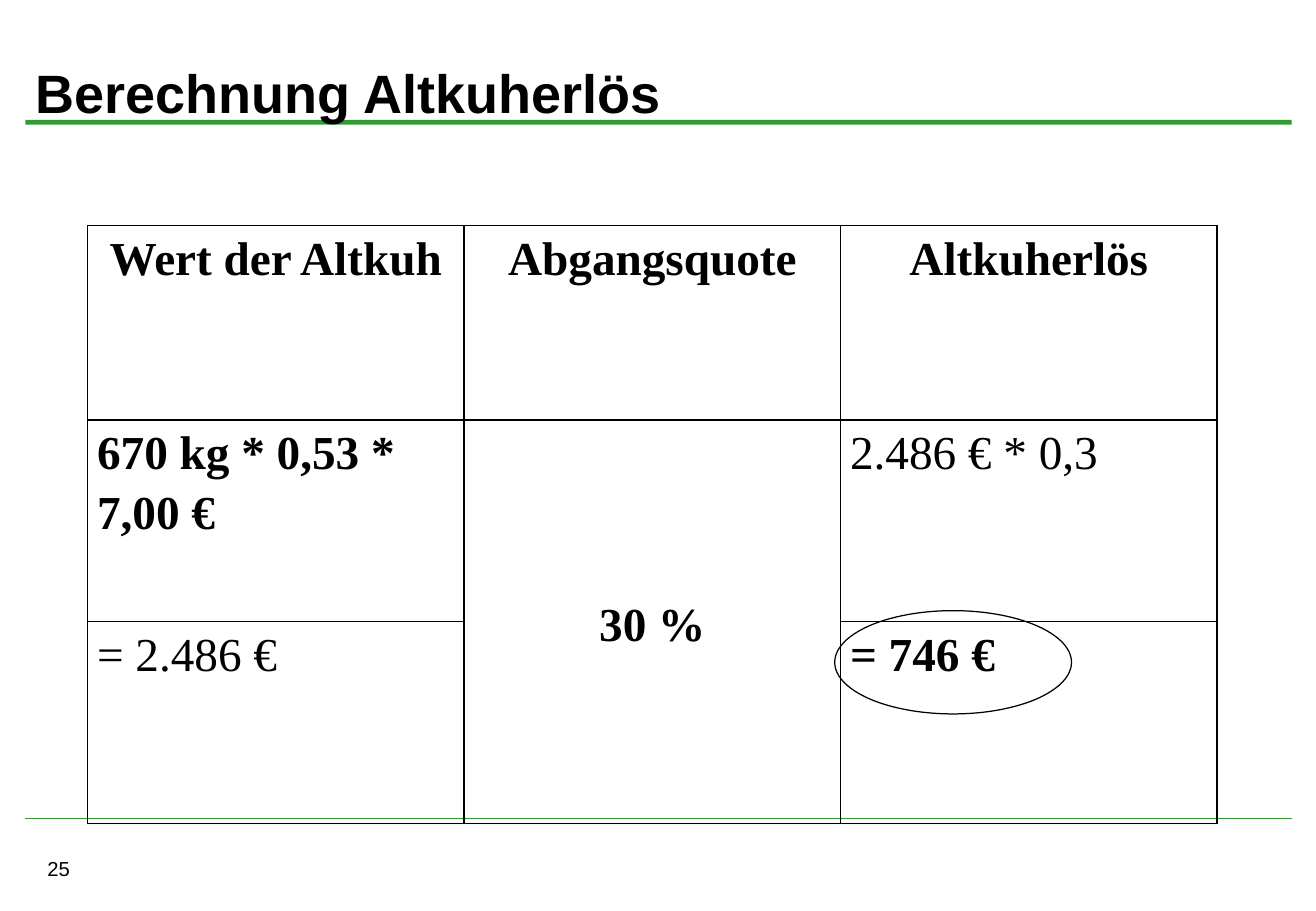
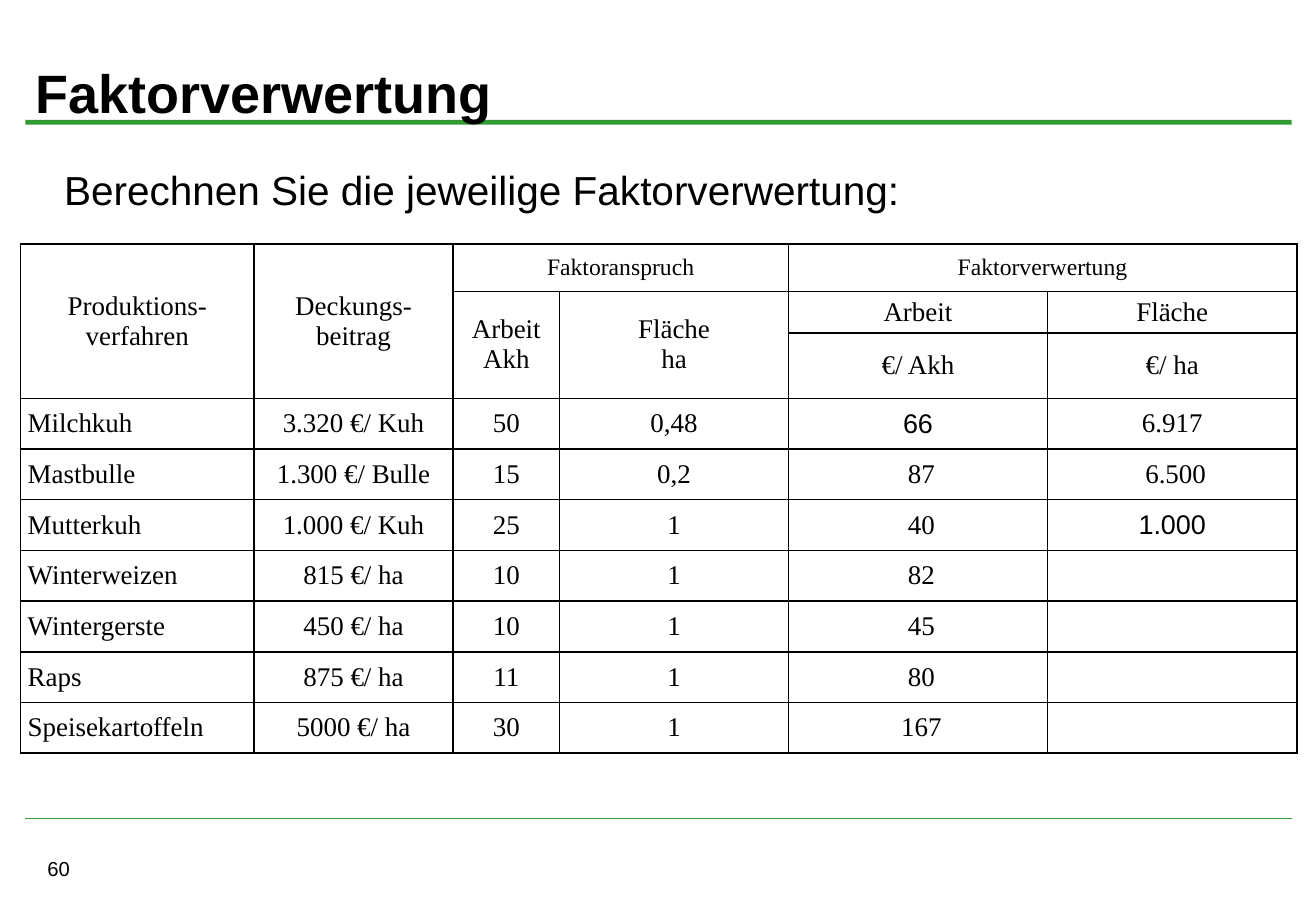
from dataclasses import dataclass, replace

from lxml import etree
from pptx import Presentation
from pptx.dml.color import RGBColor
from pptx.enum.shapes import MSO_CONNECTOR, MSO_SHAPE
from pptx.enum.text import MSO_ANCHOR, MSO_AUTO_SIZE, PP_ALIGN
from pptx.oxml.ns import qn
from pptx.util import Cm, Pt

LEFT, CENTER = PP_ALIGN.LEFT, PP_ALIGN.CENTER
TOP, MIDDLE = MSO_ANCHOR.TOP, MSO_ANCHOR.MIDDLE
RECT, OVAL = MSO_SHAPE.RECTANGLE, MSO_SHAPE.OVAL
STRAIGHT = MSO_CONNECTOR.STRAIGHT
NO_AUTOFIT = MSO_AUTO_SIZE.NONE


@dataclass(frozen=True)
class Theme:
    text: str = "000000"
    accent: str = "339933"
    sans: str = "Arial"
    serif: str = "Times New Roman"
    title: int = 32
    big_cell: int = 28
    lead: int = 24
    cell: int = 16
    small_cell: int = 14
    footer: int = 12
    hairline: float = 0.75
    border: int = 1


T = Theme()


@dataclass(frozen=True)
class Style:
    size: int
    font: str = T.sans
    bold: bool = False
    align: PP_ALIGN = LEFT
    anchor: MSO_ANCHOR = TOP
    spacing: float = 1.0


@dataclass(frozen=True)
class Cell:
    row: int
    col: int
    text: str
    style: Style
    rows: int = 1
    cols: int = 1


@dataclass(frozen=True)
class Box:
    left: float
    top: float
    width: float
    height: float

    def emu(self) -> tuple:
        return Cm(self.left), Cm(self.top), Cm(self.width), Cm(self.height)


# Text
def write(tf, text: str, style: Style) -> None:
    tf.text = text
    tf.word_wrap = True
    for p in tf.paragraphs:
        p.alignment = style.align
        p.line_spacing = style.spacing
        for r in p.runs:
            r.font.size = Pt(style.size)
            r.font.name = style.font
            r.font.bold = style.bold
            r.font.color.rgb = RGBColor.from_string(T.text)


def add_text(slide, box: Box, text: str, style: Style) -> None:
    write(slide.shapes.add_textbox(*box.emu()).text_frame, text, style)


# Tables
def add_borders(cell) -> None:
    tc_pr = cell._tc.get_or_add_tcPr()
    for side in ("lnL", "lnR", "lnT", "lnB"):
        ln = etree.SubElement(tc_pr, qn(f"a:{side}"), w=str(Pt(T.border)))
        fill = etree.SubElement(ln, qn("a:solidFill"))
        etree.SubElement(fill, qn("a:srgbClr"), val=T.text)


def add_grid(slide, left: float, top: float, widths: list[float],
             heights: list[float], margin: float, cells: list[Cell]) -> None:
    box = Box(left, top, sum(widths), sum(heights))
    table = slide.shapes.add_table(len(heights), len(widths), *box.emu()).table
    table.first_row = table.horz_banding = False
    for column, width in zip(table.columns, widths):
        column.width = Cm(width)
    for row, height in zip(table.rows, heights):
        row.height = Cm(height)
    for cell in table.iter_cells():
        add_borders(cell)
        cell.fill.background()
        cell.margin_left = cell.margin_right = Cm(margin)
        cell.margin_top = cell.margin_bottom = 0
    for c in cells:
        cell = table.cell(c.row, c.col)
        if c.rows > 1 or c.cols > 1:
            cell.merge(table.cell(c.row + c.rows - 1, c.col + c.cols - 1))
        write(cell.text_frame, c.text, c.style)
        cell.vertical_anchor = c.style.anchor


# Shared frame: title, green rules, page number
def add_slide(prs, title: str, number: str):
    slide = prs.slides.add_slide(prs.slide_layouts[5])
    bar = slide.shapes.add_shape(RECT, *Box(0.53, 2.51, 26.47, 0.1).emu())
    bar.shadow.inherit = False
    bar.fill.solid()
    bar.fill.fore_color.rgb = RGBColor.from_string(T.accent)
    bar.line.fill.background()

    rule = slide.shapes.add_connector(
        STRAIGHT, Cm(0.53), Cm(17.12), Cm(27), Cm(17.12))
    rule.line.color.rgb = RGBColor.from_string(T.accent)
    rule.line.width = Pt(T.hairline)
    etree.SubElement(rule._element.spPr, qn("a:effectLst"))

    add_text(slide, Box(0.74, 17.78, 6.48, 0.76), number, Style(T.footer))

    sp = slide.shapes.title
    sp.left, sp.top, sp.width, sp.height = Box(0.48, 0.81, 26.54, 2.21).emu()
    write(sp.text_frame, title, Style(T.title, bold=True))
    sp.text_frame.auto_size = NO_AUTOFIT
    sp.text_frame.vertical_anchor = MIDDLE
    slide.shapes._spTree.append(sp._element)  # title above the bar
    return slide


# Slide: proceeds from culled cows
def build_proceeds(prs) -> None:
    slide = add_slide(prs, "Berechnung Altkuherlös", "25")
    plain = Style(T.big_cell, T.serif, spacing=1.15)
    bold = replace(plain, bold=True)
    head = replace(bold, align=CENTER)
    headings = ["Wert der Altkuh", "Abgangsquote", "Altkuherlös"]
    cells = [Cell(0, i, text, head) for i, text in enumerate(headings)]
    cells += [
        Cell(1, 0, "670 kg * 0,53 * 7,00 €", bold),
        Cell(1, 1, "30 %", replace(head, anchor=MIDDLE), rows=2),
        Cell(1, 2, "2.486 € * 0,3", plain),
        Cell(2, 0, "= 2.486 €", plain),
        Cell(2, 2, "= 746 €", bold),
    ]
    add_grid(slide, 1.83, 4.72, [7.87] * 3, [4.06, 4.22, 4.22], 0.2, cells)

    ring = slide.shapes.add_shape(OVAL, *Box(17.45, 12.77, 4.95, 2.16).emu())
    ring.shadow.inherit = False
    ring.fill.background()
    ring.line.color.rgb = RGBColor.from_string(T.text)
    ring.line.width = Pt(T.hairline)


# Slide: return on labour and land
def build_factors(prs) -> None:
    slide = add_slide(prs, "Faktorverwertung", "60")
    mid = Style(T.cell, T.serif, align=CENTER, anchor=MIDDLE)
    small = replace(mid, size=T.small_cell)
    name = replace(mid, align=LEFT)
    sans = replace(mid, font=T.sans)
    cells = [
        Cell(0, 0, "Produktions-\nverfahren", mid, rows=3),
        Cell(0, 1, "Deckungs-\nbeitrag", mid, rows=3),
        Cell(0, 2, "Faktoranspruch", small, cols=2),
        Cell(0, 4, "Faktorverwertung", small, cols=2),
        Cell(1, 2, "Arbeit\nAkh", mid, rows=2),
        Cell(1, 3, "Fläche\nha", mid, rows=2),
        Cell(1, 4, "Arbeit", mid),
        Cell(1, 5, "Fläche", mid),
        Cell(2, 4, "€/ Akh", mid),
        Cell(2, 5, "€/ ha", mid),
    ]
    rows = [
        ("Milchkuh", "3.320 €/ Kuh", "50", "0,48", "66", "6.917"),
        ("Mastbulle", "1.300 €/ Bulle", "15", "0,2", " 87", " 6.500"),
        ("Mutterkuh", "1.000 €/ Kuh", "25", "1", " 40", "1.000"),
        ("Winterweizen", "815 €/ ha", "10", "1", " 82"),
        ("Wintergerste", "450 €/ ha", "10", "1", " 45"),
        ("Raps", "875 €/ ha", "11", "1", " 80"),
        ("Speisekartoffeln", "5000 €/ ha", "30", "1", " 167"),
    ]
    for i, row in enumerate(rows, start=3):
        for j, text in enumerate(row):
            style = name if j == 0 else sans if text in ("66", "1.000") else mid
            cells.append(Cell(i, j, text, style))
    add_grid(slide, 0.43, 5.1, [4.88, 4.16, 2.23, 4.78, 5.42, 5.21],
             [0.99, 0.87, 1.37] + [1.06] * len(rows), 0.15, cells)

    add_text(slide, Box(1.09, 3.33, 18.52, 1.27),
             "Berechnen Sie die jeweilige Faktorverwertung:", Style(T.lead))


def main() -> None:
    prs = Presentation()
    prs.slide_width, prs.slide_height = Cm(27.51), Cm(19.05)
    build_proceeds(prs)
    build_factors(prs)
    prs.save("out.pptx")


if __name__ == "__main__":
    main()
